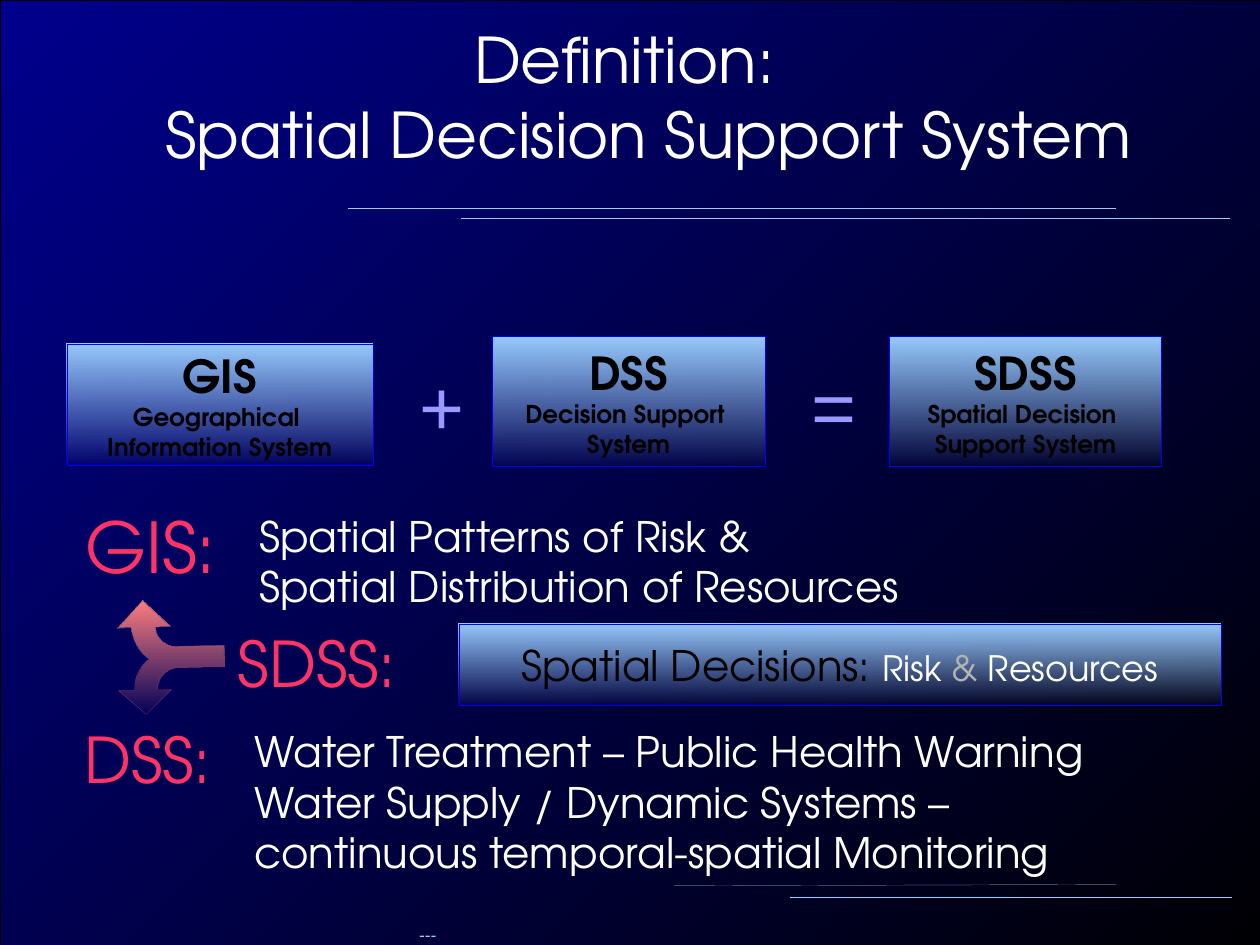
from lxml import etree
from pptx import Presentation
from pptx.dml.color import RGBColor
from pptx.enum.shapes import MSO_CONNECTOR, MSO_SHAPE
from pptx.enum.text import MSO_ANCHOR, PP_ALIGN
from pptx.oxml.ns import qn
from pptx.util import Inches, Pt

CENTER, LEFT = PP_ALIGN.CENTER, PP_ALIGN.LEFT
MIDDLE, TOP = MSO_ANCHOR.MIDDLE, MSO_ANCHOR.TOP
RECTANGLE, STRAIGHT = MSO_SHAPE.RECTANGLE, MSO_CONNECTOR.STRAIGHT

MAIN_FONT, SIGN_FONT = "TeX Gyre Adventor", "Arial"
HAIRLINE = Pt(0.1)
COLORS = {
    "navy": "000066", "royal": "00008C", "black": "000000", "white": "FFFFFF",
    "sky": "99CCFF", "blue": "0000FF", "lilac": "9999FF", "pink": "FF3366",
    "salmon": "FF8080", "plum": "993366", "gray": "B3B3B3",
}

TITLE = "Definition: \nSpatial Decision Support System"
RULES = [
    (2.76, 1.65, 8.86, 1.65), (3.66, 1.73, 9.76, 1.73),
    (5.35, 7.03, 8.86, 7.02), (6.27, 7.12, 9.78, 7.12),
]
BOXES = [
    ((0.53, 2.73, 2.43, 0.96), "GIS", "Geographical \nInformation System"),
    ((3.91, 2.67, 2.16, 1.03), "DSS", "Decision Support \nSystem"),
    ((7.06, 2.67, 2.16, 1.03), "SDSS", "Spatial Decision \nSupport System"),
]
SIGNS = [((3.23, 2.8, 0.55, 0.78), "+"), ((6.34, 2.8, 0.55, 0.78), "=")]
DESCRIPTIONS = [
    ((1.96, 4, 5.75, 1.01),
     "Spatial Patterns of Risk &\nSpatial Distribution of Resources"),
    ((1.92, 5.71, 7.62, 1.46),
     "Water Treatment – Public Health Warning \n"
     "Water Supply / Dynamic Systems –\ncontinuous temporal-spatial Monitoring"),
]
LABELS = [
    ((0.57, 5.67, 1.39, 0.78), "DSS:", 36),
    ((0.58, 3.95, 1.36, 0.86), "GIS:", 40),
    ((1.79, 4.91, 2.12, 0.78), "SDSS:", 36),
]
DECISION_BAR = (3.64, 4.95, 6.05, 0.65)
DECISION_RUNS = [
    ("Spatial Decisions: ", 24, "black"), ("Risk ", 20, "white"),
    ("& ", 20, "gray"), ("Resources", 20, "white"),
]
FORK_START = (1.41, 5.13)
FORK_STEPS = [
    [(1.31, 5.14), (1.23, 5.06), (1.23, 4.98)],
    [(1.35, 4.97)], [(1.13, 4.77)], [(0.93, 4.99)], [(1.04, 4.98)],
    [(1.05, 5.08), (1.1, 5.17), (1.18, 5.23)],
    [(1.11, 5.29), (1.06, 5.38), (1.07, 5.48)],
    [(0.94, 5.48)], [(1.16, 5.67)], [(1.36, 5.47)], [(1.25, 5.47)],
    [(1.24, 5.38), (1.32, 5.3), (1.41, 5.3)],
    [(1.78, 5.29)], [(1.77, 5.12)],
]
CURVE_PARTS = 10


def rgb(name):
    return RGBColor.from_string(COLORS[name])


def inches(values):
    return [Inches(value) for value in values]


def set_line(line, color):
    line.color.rgb = rgb(color)
    line.width = HAIRLINE


def set_gradient(fill, start, end):
    fill.gradient()
    for stop, name, position in zip(fill.gradient_stops, (start, end), (0, 1)):
        stop.color.rgb = rgb(name)
        stop.position = position


def fade_down(shape, color, line_color):
    set_gradient(shape.fill, color, color)
    shape.fill.gradient_angle = 270
    last_color = shape._element.spPr.findall(".//" + qn("a:srgbClr"))[-1]
    etree.SubElement(last_color, qn("a:alpha"), val="0")
    set_line(shape.line, line_color)
    shape.shadow.inherit = False


def radiate_from_corner(element, kind):
    gradient = element.find(".//" + qn("a:gradFill"))
    gradient.remove(gradient.find(qn("a:lin")))
    path_element = etree.SubElement(gradient, qn("a:path"), attrib={"path": kind})
    etree.SubElement(path_element, qn("a:fillToRect"), l="0", t="0", r="100000", b="100000")


def style(font, size, color, name=MAIN_FONT, bold=False):
    font.size, font.name, font.bold = Pt(size), name, bold
    font.color.rgb = rgb(color)


def add_text(slide, place, text, size, color, name=MAIN_FONT, align=LEFT, wrap=True):
    box = slide.shapes.add_textbox(*inches(place))
    box.text_frame.word_wrap = wrap
    paragraph = box.text_frame.paragraphs[0]
    paragraph.text = text
    paragraph.alignment = align
    style(paragraph.font, size, color, name)
    return box


def add_panel(slide, place):
    panel = slide.shapes.add_shape(RECTANGLE, *inches(place))
    fade_down(panel, "sky", "blue")
    panel.text_frame.word_wrap = True
    panel.text_frame.vertical_anchor = MIDDLE
    panel.text_frame.paragraphs[0].alignment = CENTER
    return panel


def fork_points():
    points, start = [], FORK_START
    for step in FORK_STEPS:
        if len(step) == 3:
            for part in range(1, CURVE_PARTS + 1):
                t = part / CURVE_PARTS
                weights = ((1 - t) ** 3, 3 * t * (1 - t) ** 2, 3 * t * t * (1 - t), t ** 3)
                points.append(tuple(
                    sum(weight * point[axis] for weight, point in zip(weights, [start, *step]))
                    for axis in (0, 1)))
        else:
            points.append(step[0])
        start = step[-1]
    return points


def add_fork(slide):
    builder = slide.shapes.build_freeform(*inches(FORK_START))
    builder.add_line_segments([inches(point) for point in fork_points()], close=True)
    fade_down(builder.convert_to_shape(), "salmon", "plum")


def add_backdrop(slide):
    set_gradient(slide.background.fill, "navy", "black")
    radiate_from_corner(slide._element.cSld.bg, "rect")
    backdrop = slide.shapes.add_shape(RECTANGLE, *inches((0, 0, 10.4, 7.57)))
    set_gradient(backdrop.fill, "royal", "black")
    radiate_from_corner(backdrop._element.spPr, "circle")
    set_line(backdrop.line, "black")
    backdrop.shadow.inherit = False
    slide.shapes._spTree.insert(2, backdrop._element)


def add_title(slide):
    title = slide.shapes.title
    title.left, title.top, title.width, title.height = inches((0.47, 0.08, 9.11, 1.36))
    frame = title.text_frame
    frame.margin_left = frame.margin_right = frame.margin_top = frame.margin_bottom = 0
    frame.vertical_anchor = MIDDLE
    paragraph = frame.paragraphs[0]
    paragraph.text = TITLE
    paragraph.alignment = CENTER
    style(paragraph.font, 36, "white")
    properties = paragraph._p.get_or_add_pPr()
    properties.set("marL", str(Inches(0.24)))
    properties.set("indent", str(Inches(-0.39)))


def main():
    presentation = Presentation()
    presentation.slide_width, presentation.slide_height = Inches(10), Inches(7.5)
    slide = presentation.slides.add_slide(presentation.slide_layouts[5])
    add_backdrop(slide)
    add_title(slide)
    footer = add_text(slide, (-0.07, 7.11, 6.93, 0.51), "---", 10, "sky", SIGN_FONT, CENTER)
    footer.text_frame.margin_top = Inches(0.22)
    footer.text_frame.vertical_anchor = TOP
    for ends in RULES:
        rule = slide.shapes.add_connector(STRAIGHT, *inches(ends))
        set_line(rule.line, "sky")
        etree.SubElement(rule._element.spPr, qn("a:effectLst"))
    for place, heading, meaning in BOXES:
        frame = add_panel(slide, place).text_frame
        frame.paragraphs[0].text = heading
        style(frame.paragraphs[0].font, 26, "black", bold=True)
        paragraph = frame.add_paragraph()
        paragraph.text = meaning
        paragraph.alignment = CENTER
        style(paragraph.font, 14, "black", bold=True)
    for place, sign in SIGNS:
        add_text(slide, place, sign, 44, "lilac", SIGN_FONT, wrap=False)
    for place, text in DESCRIPTIONS:
        add_text(slide, place, text, 24, "white")
    for place, text, size in LABELS:
        add_text(slide, place, text, size, "pink")
    bar_paragraph = add_panel(slide, DECISION_BAR).text_frame.paragraphs[0]
    for text, size, color in DECISION_RUNS:
        run = bar_paragraph.add_run()
        run.text = text
        style(run.font, size, color)
    add_fork(slide)
    presentation.save("out.pptx")


if __name__ == "__main__":
    main()
